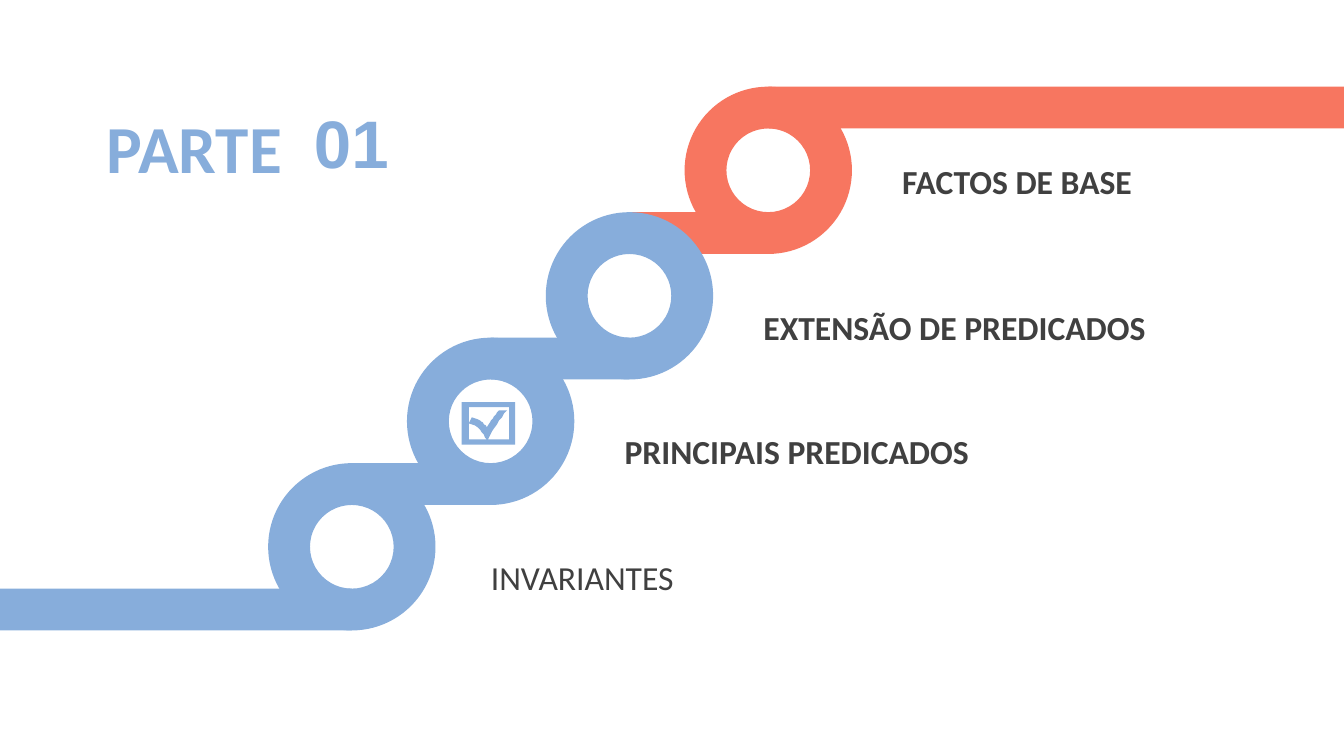
from dataclasses import dataclass

from pptx import Presentation
from pptx.dml.color import RGBColor as Rgb
from pptx.enum.shapes import MSO_SHAPE as Preset
from pptx.enum.text import MSO_ANCHOR as Anchor, MSO_AUTO_SIZE as AutoSize, PP_ALIGN as Align
from pptx.util import Inches, Pt


@dataclass(frozen=True)
class Theme:
    blue: Rgb = Rgb(0x87, 0xAD, 0xDB)
    coral: Rgb = Rgb(0xF7, 0x76, 0x60)
    ink: Rgb = Rgb(0x40, 0x40, 0x40)
    body: str = "Calibri"
    number: str = "Arial"
    heading_size: int = 48
    label_size: int = 24


theme = Theme()
WIDTH, HEIGHT = 13.33, 7.5

# Staircase grid: each ring overlaps the next by one band
RING = 1.66
BAND = RING / 4
RISE = RING - BAND
TOP_LEFT, BOTTOM_LEFT, TOP = 6.79, 2.66, 0.86
RUN = (TOP_LEFT - BOTTOM_LEFT) / 3

deck = Presentation()
deck.slide_width, deck.slide_height = Inches(WIDTH), Inches(HEIGHT)
slide = deck.slides.add_slide(deck.slide_layouts[5])
shapes = slide.shapes


def paint(shape, colour):
    shape.shadow.inherit = False
    shape.fill.solid()
    shape.fill.fore_color.rgb = colour
    shape.line.fill.background()


def write(holder, wording, size, colour, font=theme.body, bold=True, align=Align.LEFT):
    frame = holder.text_frame
    frame.word_wrap = True
    frame.auto_size = AutoSize.NONE
    line = frame.paragraphs[0]
    line.alignment = align
    run = line.add_run()
    run.text = wording
    run.font.name, run.font.size, run.font.bold = font, Pt(size), bold
    run.font.color.rgb = colour


# Steps from the top down: wording, colour, bold, label drop below the ring's top, label width
steps = [
    ("FACTOS DE BASE", theme.coral, True, 0.69, 3.16),
    ("EXTENSÃO DE PREDICADOS", theme.blue, True, 0.89, 4.53),
    ("PRINCIPAIS PREDICADOS", theme.blue, True, 0.88, 4.95),
    ("INVARIANTES", theme.blue, False, 0.88, 4.02),
]

top_centre = TOP_LEFT + RING / 2
exit_band = shapes.add_shape(Preset.RECTANGLE, Inches(top_centre), Inches(TOP),
                             Inches(WIDTH - top_centre), Inches(BAND))
paint(exit_band, theme.coral)

for step, (wording, colour, bold, drop, label_width) in enumerate(steps):
    left, top = TOP_LEFT - step * RUN, TOP + step * RISE
    centre = left + RING / 2
    band_start = 0 if step == len(steps) - 1 else centre - RUN
    band = shapes.add_shape(Preset.RECTANGLE, Inches(band_start), Inches(top + RISE),
                            Inches(centre - band_start), Inches(BAND))
    paint(band, colour)
    ring = shapes.add_shape(Preset.DONUT, Inches(left), Inches(top), Inches(RING), Inches(RING))
    ring.adjustments[0] = BAND / RING
    paint(ring, colour)
    label_left = left + (2.06 if bold else 2.11)
    label = shapes.add_textbox(Inches(label_left), Inches(top + drop),
                               Inches(label_width), Inches(0.5))
    write(label, wording, theme.label_size, theme.ink, bold=bold)


def curve(start, first, second, end, pieces=8):
    """Points along a cubic curve, without its start."""
    points = []
    for piece in range(1, pieces + 1):
        t = piece / pieces
        weights = ((1 - t) ** 3, 3 * t * (1 - t) ** 2, 3 * t * t * (1 - t), t ** 3)
        points.append(tuple(sum(w * p[axis] for w, p in zip(weights, (start, first, second, end)))
                            for axis in (0, 1)))
    return points


# Ticked box, in hundredths of an inch
window = [
    (465, 436), (483, 436),
    *curve((483, 436), (479, 430), (475, 421), (465, 420)),
    (468, 414),
    *curve((468, 414), (477, 416), (479, 419), (483, 424)),
    *curve((483, 424), (487, 417), (490, 413), (495, 407)),
    (503, 407),
    *curve((503, 407), (496, 415), (489, 426), (484, 436)),
    (505, 436), (505, 404),
]
outline = shapes.build_freeform(465, 404, scale=Inches(0.01))
outline.add_line_segments(window, close=True)
outline.move_to(458, 399)
outline.add_line_segments([(511, 399), (511, 441), (458, 441)], close=True)
paint(outline.convert_to_shape(), theme.blue)

title = shapes.title
title.left, title.top, title.width, title.height = map(Inches, (0.96, 1, WIDTH / 3, 0.91))
title.text_frame.vertical_anchor = Anchor.MIDDLE
write(title, "PARTE", theme.heading_size, theme.blue)

part_number = shapes.add_textbox(Inches(2.96), Inches(0.96), Inches(1.05), Inches(0.91))
part_number.text_frame.margin_left = part_number.text_frame.margin_right = Inches(0.12)
write(part_number, "01", theme.heading_size, theme.blue, font=theme.number, align=Align.CENTER)

deck.save("out.pptx")
